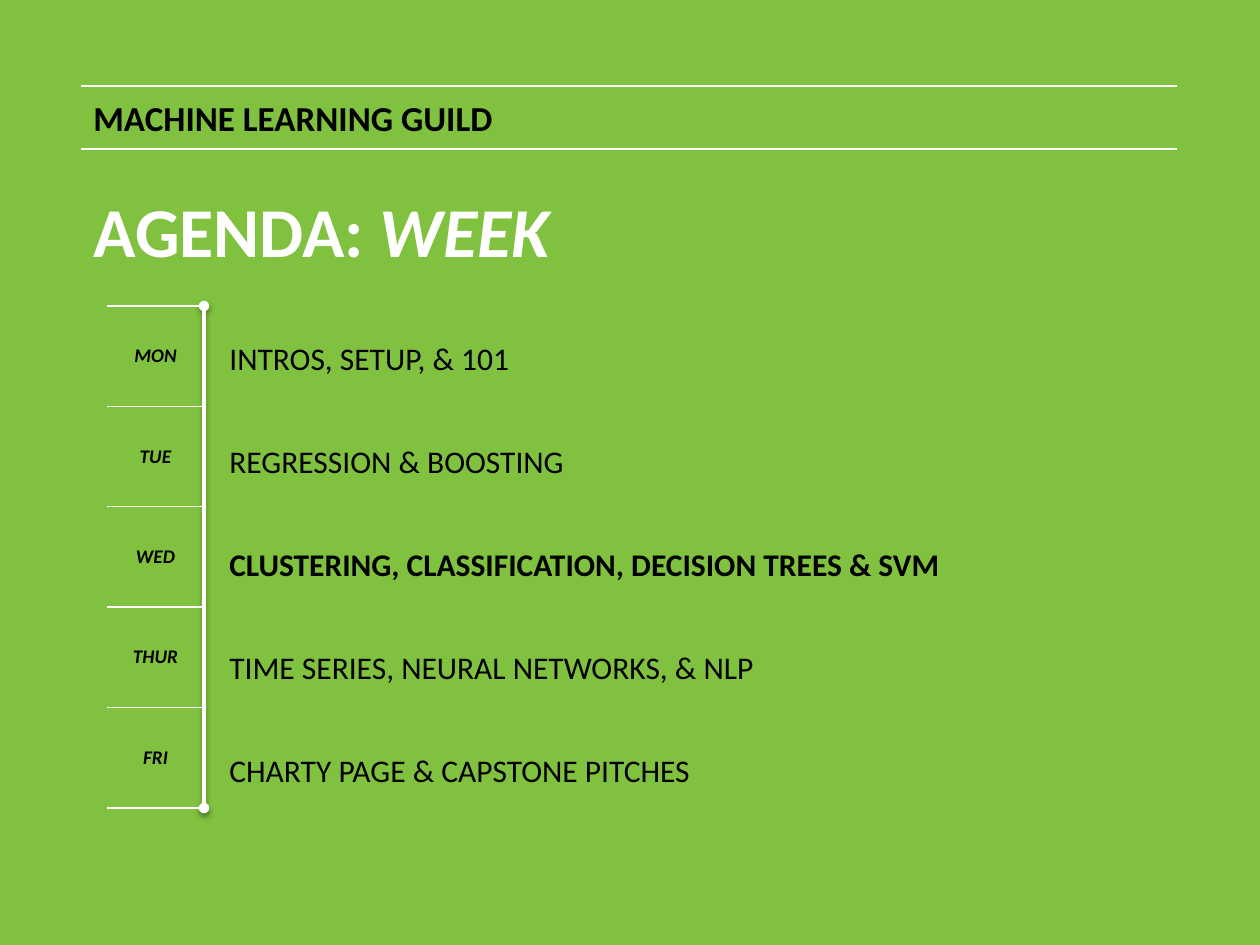
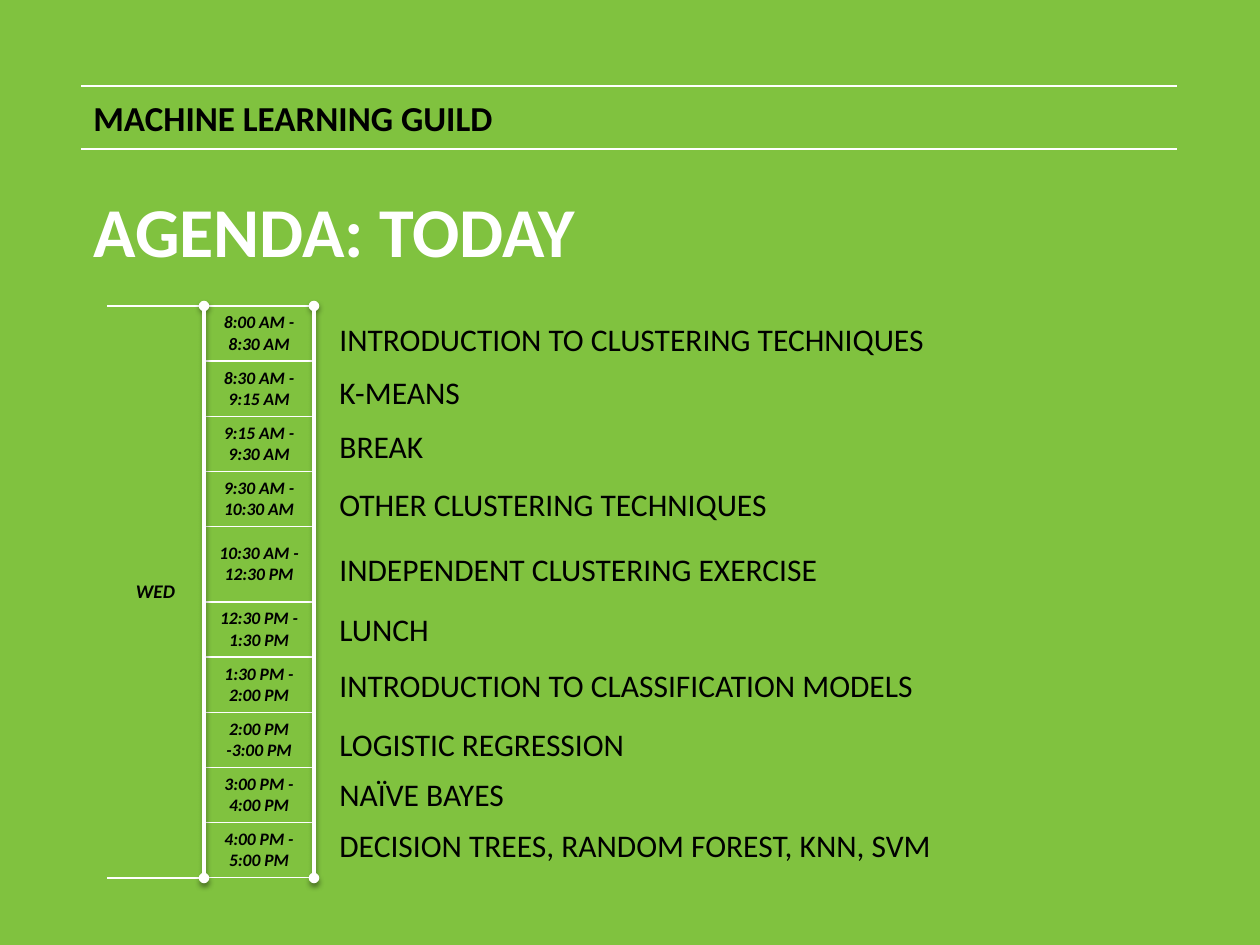
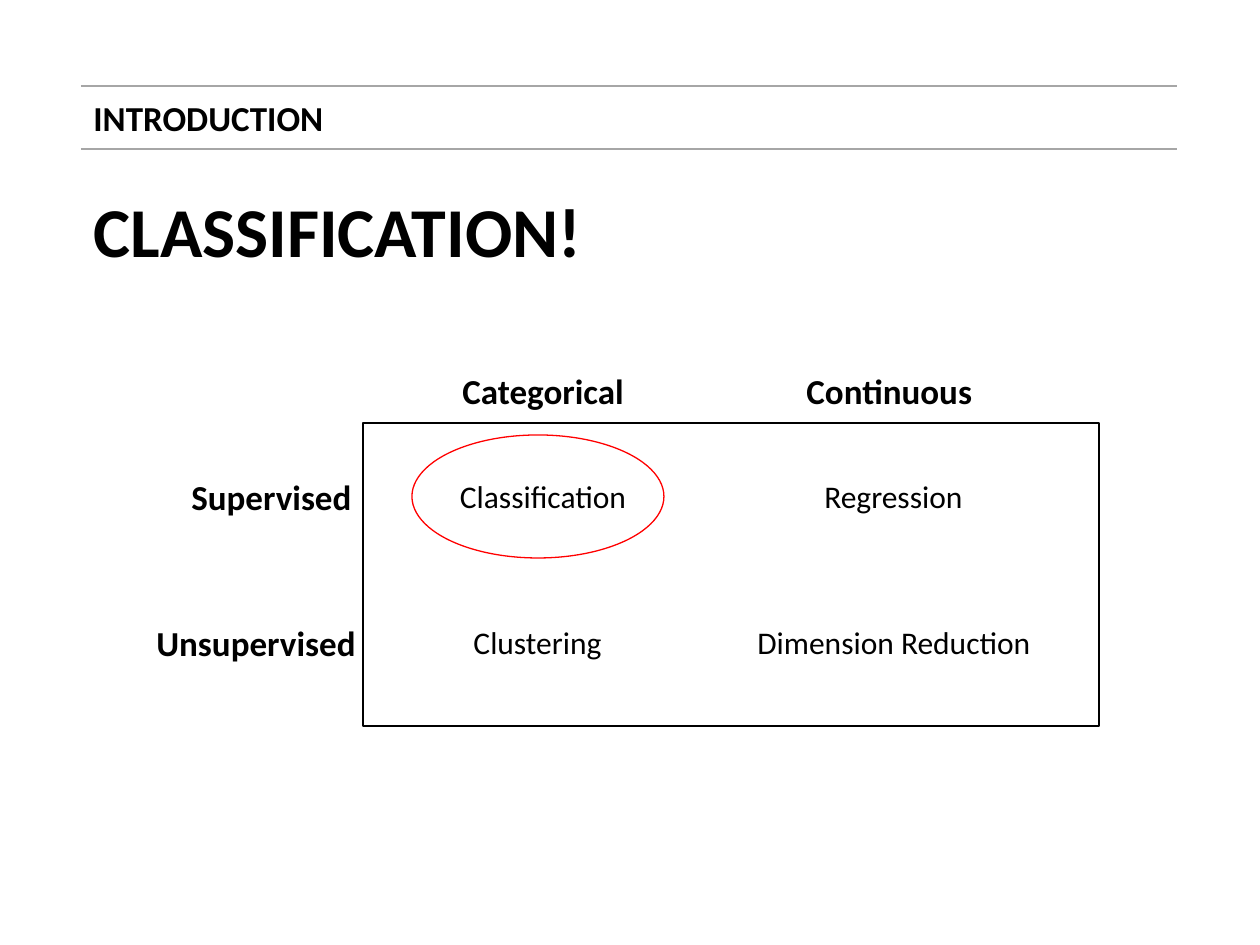
from lxml.etree import SubElement
from pptx import Presentation
from pptx.dml.color import RGBColor
from pptx.enum.shapes import MSO_CONNECTOR, MSO_SHAPE
from pptx.enum.text import MSO_ANCHOR, MSO_AUTO_SIZE, PP_ALIGN
from pptx.oxml import parse_xml
from pptx.oxml.ns import nsdecls, qn
from pptx.util import Emu, Pt

FONT = "Calibri"
COLORS = {"green": "80C23F", "white": "FFFFFF", "black": "000000",
          "gray": "A6A6A6", "red": "FF0000"}
LEFT, RIGHT = 81, 1177
BAND_TOP, BAND_BOTTOM = 86, 149
TITLE_TOP = 181
AGENDA_LEFT, AGENDA_TOP = 107, 306
DAY_WIDTH, TIME_WIDTH = 97, 110

WEEK = [
    ("MON", "INTROS, SETUP, & 101", 559),
    ("TUE", "REGRESSION & BOOSTING", 559),
    ("WED", "CLUSTERING, CLASSIFICATION, DECISION TREES & SVM", 742),
    ("THUR", "TIME SERIES, NEURAL NETWORKS, & NLP", 816),
    ("FRI", "CHARTY PAGE & CAPSTONE PITCHES", 858),
]
TODAY = [
    ("8:00 AM -\n8:30 AM", "INTRODUCTION TO CLUSTERING TECHNIQUES", 314),
    ("8:30 AM - 9:15 AM", "K-MEANS", 367),
    ("9:15 AM - 9:30 AM", "BREAK", 421),
    ("9:30 AM - 10:30 AM", "OTHER CLUSTERING TECHNIQUES", 479),
    ("10:30 AM - 12:30 PM", "INDEPENDENT CLUSTERING EXERCISE", 544),
    ("12:30 PM - 1:30 PM", "LUNCH", 604),
    ("1:30 PM -\n2:00 PM", "INTRODUCTION TO CLASSIFICATION MODELS", 660),
    ("2:00 PM -3:00 PM", "LOGISTIC REGRESSION", 719),
    ("3:00 PM - 4:00 PM", "NAÏVE BAYES", 769),
    ("4:00 PM - 5:00 PM", "DECISION TREES, RANDOM FOREST, KNN, SVM", 820),
]
HEADINGS = [
    ("Supervised", 179, 469, 188),
    ("Unsupervised", 144, 615, 227),
    ("Categorical", 450, 363, 188),
    ("Continuous", 794, 363, 193),
]
METHODS = [
    ("Classification", 446, 471, 194),
    ("Regression", 811, 471, 165),
    ("Clustering", 460, 617, 155),
    ("Dimension Reduction", 743, 617, 302),
]


def px(n):
    return Emu(round(n * 914400 / 126))


def rgb(name):
    return RGBColor.from_string(COLORS[name])


def write(tf, text, size=18, color="black", bold=False, italic=False,
          align=PP_ALIGN.LEFT, italic_tail=""):
    for i, line in enumerate(text.split("\n")):
        p = tf.add_paragraph() if i else tf.paragraphs[0]
        p.alignment = align
        for part, slanted in ((line, italic), (italic_tail, True)):
            if part:
                r = p.add_run()
                r.text = part
                r.font.name, r.font.size = FONT, Pt(size)
                r.font.bold, r.font.italic = bold, slanted
                r.font.color.rgb = rgb(color)


def add_label(s, text, x, y, w, h=50, wrap=False, **fmt):
    tf = s.shapes.add_textbox(px(x), px(y), px(w), px(h)).text_frame
    tf.word_wrap = wrap
    tf.auto_size = MSO_AUTO_SIZE.SHAPE_TO_FIT_TEXT
    write(tf, text, **fmt)


def add_line(s, x1, y1, x2, y2, color="white", width=0.75):
    line = s.shapes.add_connector(MSO_CONNECTOR.STRAIGHT, px(x1), px(y1), px(x2), px(y2))
    line.line.color.rgb = rgb(color)
    line.line.width = Pt(width)
    effects = SubElement(line._element.spPr, qn("a:effectLst"))
    return line, effects


def add_timeline(s, x, height):
    line, effects = add_line(s, x, AGENDA_TOP, x, AGENDA_TOP + height, width=2)
    ln = line.line._get_or_add_ln()
    for end in ("a:headEnd", "a:tailEnd"):
        SubElement(ln, qn(end), type="oval")
    effects.append(parse_xml(
        f'<a:outerShdw {nsdecls("a")} blurRad="{Pt(3.1)}" dist="{Pt(1.6)}" '
        f'dir="5400000" rotWithShape="0"><a:srgbClr val="{COLORS["black"]}">'
        '<a:alpha val="38000"/></a:srgbClr></a:outerShdw>'))


def set_borders(cell):
    tcPr = cell._tc.get_or_add_tcPr()
    white = f'<a:solidFill><a:srgbClr val="{COLORS["white"]}"/></a:solidFill>'
    sides = {"lnL": "<a:noFill/>", "lnR": "<a:noFill/>", "lnT": white, "lnB": white}
    for i, (side, fill) in enumerate(sides.items()):
        tcPr.insert(i, parse_xml(
            f'<a:{side} {nsdecls("a")} w="{Pt(1)}">{fill}</a:{side}>'))


def add_column(s, labels, x, width, height, size, weights=None):
    weights = weights or [1] * len(labels)
    table = s.shapes.add_table(len(labels), 1, px(x), px(AGENDA_TOP),
                               px(width), px(height)).table
    table.first_row = table.horz_banding = False
    table.columns[0].width = px(width)
    for row, label, weight in zip(table.rows, labels, weights):
        row.height = px(height * weight / sum(weights))
        cell = row.cells[0]
        cell.fill.background()
        cell.vertical_anchor = MSO_ANCHOR.MIDDLE
        write(cell.text_frame, label, size=size, bold=True, italic=True,
              align=PP_ALIGN.CENTER)
        set_borders(cell)


def add_outline(s, kind, x, y, w, h, color):
    sp = s.shapes.add_shape(kind, px(x), px(y), px(w), px(h))
    sp.shadow.inherit = False
    sp.fill.background()
    sp.line.color.rgb = rgb(color)
    sp.line.width = Pt(0.75)


def add_slide(prs, band, band_width, title, title_width, back="green",
              rule="white", title_color="white", italic_tail=""):
    s = prs.slides.add_slide(prs.slide_layouts[5])
    s.background.fill.solid()
    s.background.fill.fore_color.rgb = rgb(back)
    for y in (BAND_TOP, BAND_BOTTOM):
        add_line(s, LEFT, y, RIGHT, y, color=rule)
    add_label(s, band, LEFT, 90, band_width, 55, size=20, bold=True)
    sp = s.shapes.title
    sp.left, sp.top, sp.width, sp.height = map(px, (LEFT, TITLE_TOP, title_width, 97))
    tf = sp.text_frame
    tf.word_wrap = False
    tf.auto_size = MSO_AUTO_SIZE.SHAPE_TO_FIT_TEXT
    tf.vertical_anchor = MSO_ANCHOR.TOP
    write(tf, title, size=40, color=title_color, bold=True, italic_tail=italic_tail)
    return s


def add_week(prs):
    s = add_slide(prs, "MACHINE LEARNING GUILD", 428, "AGENDA: ", 486, italic_tail="WEEK")
    height = 502
    add_timeline(s, AGENDA_LEFT + DAY_WIDTH, height)
    add_column(s, [day for day, _, _ in WEEK], AGENDA_LEFT, DAY_WIDTH, height, 11)
    for i, (day, topic, width) in enumerate(WEEK):
        add_label(s, topic, 217, 333 + 103 * i, width, wrap=True, bold=day == "WED")


def add_today(prs):
    s = add_slide(prs, "MACHINE LEARNING GUILD", 428, "AGENDA: TODAY", 512)
    height = 572
    time_left = AGENDA_LEFT + DAY_WIDTH
    add_column(s, ["WED"], AGENDA_LEFT, DAY_WIDTH, height, 11)
    weights = [15 if topic.startswith("INDEPENDENT") else 11 for _, topic, _ in TODAY]
    add_column(s, [time for time, _, _ in TODAY], time_left, TIME_WIDTH, height, 10, weights)
    for x in (time_left, time_left + TIME_WIDTH):
        add_timeline(s, x, height)
    for _, topic, y in TODAY:
        add_label(s, topic, 327, y, 638, wrap=True)


def add_classification(prs):
    s = add_slide(prs, "INTRODUCTION", 257, "CLASSIFICATION!", 518,
                  back="white", rule="gray", title_color="black")
    add_outline(s, MSO_SHAPE.RECTANGLE, 363, 423, 736, 303, "black")
    for text, x, y, width in HEADINGS:
        add_label(s, text, x, y, width, 55, size=20, bold=True)
    for text, x, y, width in METHODS:
        add_label(s, text, x, y, width, align=PP_ALIGN.CENTER)
    add_outline(s, MSO_SHAPE.OVAL, 412, 435, 252, 123, "red")


def main():
    prs = Presentation()
    prs.slide_width, prs.slide_height = px(1260), px(945)
    add_week(prs)
    add_today(prs)
    add_classification(prs)
    prs.save("out.pptx")


if __name__ == "__main__":
    main()
